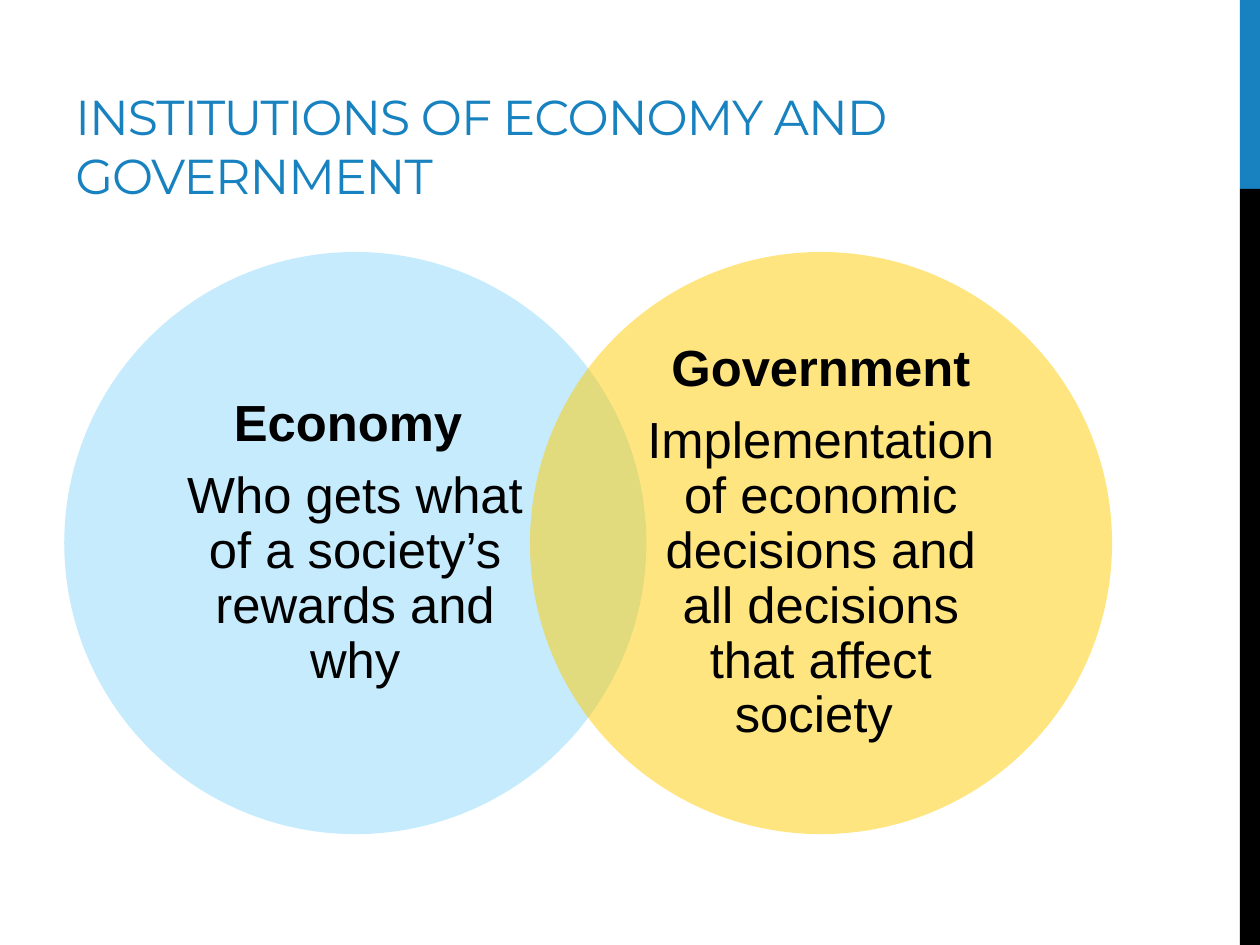
from math import sqrt

from lxml.etree import SubElement
from pptx import Presentation
from pptx.dml.color import RGBColor
from pptx.enum.shapes import MSO_SHAPE as Shape
from pptx.enum.text import MSO_ANCHOR as Anchor, PP_ALIGN as Align
from pptx.oxml.ns import qn
from pptx.util import Inches, Pt

CELL = 0.5  # grid of 20 columns by 15 rows, in inches
COLUMNS, ROWS = 20, 15


def color(hex_text):
    return RGBColor.from_string(hex_text)


def cells(count):
    return Inches(count * CELL)


class VennSlide:
    blue, black = "1782BF", "000000"
    title_font, body_font = "Montserrat", "Arial"
    title_size, body_size = 28, 29

    def __init__(self, deck):
        self.slide = deck.slides.add_slide(deck.slide_layouts[6])

    def shape(self, kind, left, top, width, height, fill, opacity=100):
        shape = self.slide.shapes.add_shape(kind, *map(cells, (left, top, width, height)))
        shape.shadow.inherit = False
        shape.line.fill.background()
        shape.fill.solid()
        shape.fill.fore_color.rgb = color(fill)
        if opacity < 100:
            tint = shape.fill._xPr.find(qn("a:solidFill"))[0]
            SubElement(tint, qn("a:alpha"), val=str(opacity * 1000))

    def text_box(self, left, top, width, height, anchor, side, edge):
        box = self.slide.shapes.add_textbox(*map(cells, (left, top, width, height)))
        frame = box.text_frame
        frame.word_wrap = True
        frame.vertical_anchor = anchor
        frame.margin_left = frame.margin_right = Inches(side)
        frame.margin_top = frame.margin_bottom = Inches(edge)
        return frame

    def span(self, para, text, font, size, fill, bold=False):
        span = para.add_run()
        span.text = text
        span.font.name, span.font.size, span.font.bold = font, Pt(size), bold
        span.font.color.rgb = color(fill)
        return span

    def title(self, text):
        frame = self.text_box(1, 0.34, 18.7, 3, Anchor.BOTTOM, 0.1, 0.05)
        span = self.span(frame.paragraphs[0], text, self.title_font, self.title_size, self.blue)
        span.font._element.set("spc", "-60")

    def circle(self, left, top, size, fill, heading, body):
        self.shape(Shape.OVAL, left, top, size, size, fill, opacity=50)
        # The text fills the square inscribed in the circle
        side = size / sqrt(2)
        inset = (size - side) / 2
        frame = self.text_box(left + inset, top + inset, side, side, Anchor.MIDDLE, 0.25, 0.04)
        for para, text, bold in (
            (frame.paragraphs[0], heading, True),
            (frame.add_paragraph(), body, False),
        ):
            para.alignment = Align.CENTER
            para.line_spacing = 0.9
            para.space_after = Pt(0.35 * self.body_size)
            self.span(para, text, self.body_font, self.body_size, self.black, bold)


def main():
    deck = Presentation()
    deck.slide_width, deck.slide_height = cells(COLUMNS), cells(ROWS)
    page = VennSlide(deck)

    # Side band
    band, split = 0.32, 3
    page.shape(Shape.RECTANGLE, COLUMNS - band, 0, band, split, page.blue)
    page.shape(Shape.RECTANGLE, COLUMNS - band, split, band, ROWS - split, page.black)

    page.title("INSTITUTIONS OF ECONOMY AND GOVERNMENT")

    # Two circles, overlapping by a fifth
    size = 9.24
    circles = (
        ("8FD9FB", "Economy ", "Who gets what of a society’s rewards and why"),
        ("FFCC00", "Government",
         "Implementation of economic decisions and all decisions that affect society "),
    )
    for index, (fill, heading, body) in enumerate(circles):
        page.circle(1.02 + index * 0.8 * size, 4, size, fill, heading, body)

    deck.save("out.pptx")


if __name__ == "__main__":
    main()
